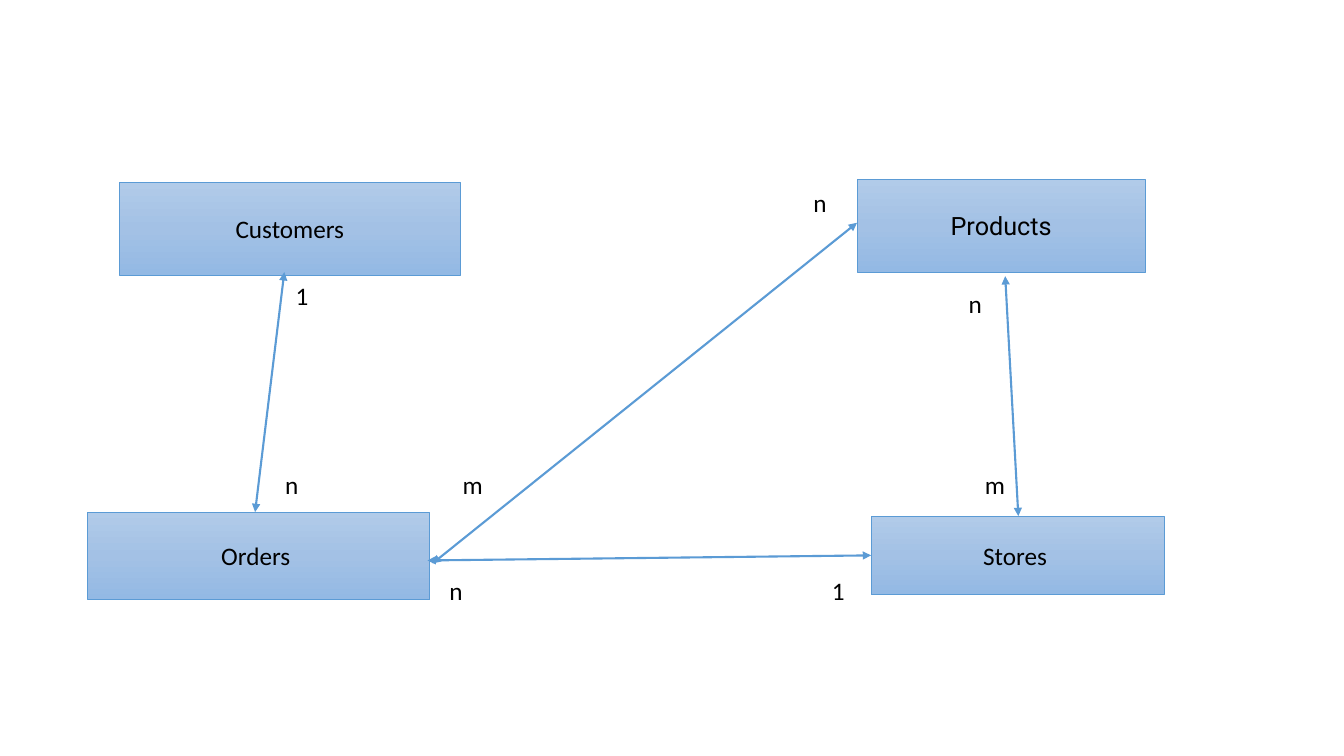
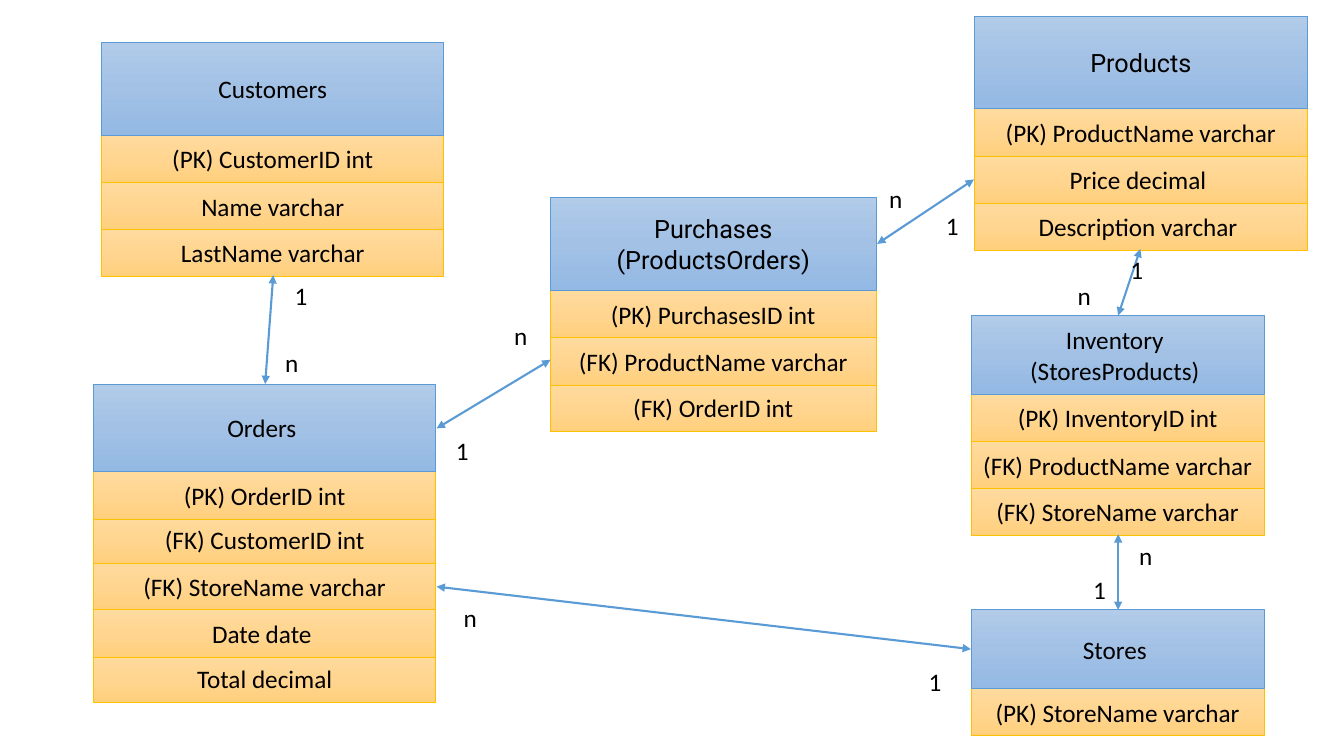
from copy import deepcopy
from dataclasses import dataclass

from pptx import Presentation, util as u
from pptx.dml import color as dml
from pptx.enum import shapes, text
from pptx.oxml import ns, xmlchemy as xml

BLUE = "5B9BD5"
GOLD = "FFC000"
BLACK = "000000"
FADES = {
    BLUE: ("B1CBE9", "A3C1E5", "93B9E4"),
    GOLD: ("FFDB9E", "FFD590", "FFD07C"),
}
SANS = "Calibri"
ALT = "Roboto"
ROW = 0.47
TOPS = (0, 0.47, 0.93)


@dataclass(frozen=True)
class Table:
    title: str
    left: float
    top: float
    width: float
    height: float
    rows: tuple[str, ...] = ()
    font: str = SANS
    tops: tuple[float, ...] = TOPS


@dataclass(frozen=True)
class Link:
    x1: float
    y1: float
    x2: float
    y2: float


@dataclass(frozen=True)
class Mark:
    sign: str
    left: float
    top: float
    width: float = 0.37


@dataclass(frozen=True)
class Scheme:
    tables: tuple[Table, ...]
    links: tuple[Link, ...]
    marks: tuple[Mark, ...]


def tint(code: str) -> dml.RGBColor:
    return dml.RGBColor.from_string(code)


def write(frame, words: str, font: str = SANS) -> None:
    frame.word_wrap = True
    for i, line in enumerate(words.split("\n")):
        para = frame.add_paragraph() if i else frame.paragraphs[0]
        para.alignment = text.PP_ALIGN.CENTER
        run = para.add_run()
        run.text = line
        run.font.name = font
        run.font.size = u.Pt(18)
        run.font.color.rgb = tint(BLACK)


def draw_box(slide, words: str, left: float, top: float, width: float,
             height: float, edge: str, font: str = SANS) -> None:
    box = slide.shapes.add_shape(
        shapes.MSO_SHAPE.RECTANGLE,
        *map(u.Inches, (left, top, width, height)))
    box.shadow.inherit = False
    box.line.color.rgb = tint(edge)
    box.line.width = u.Pt(0.5)
    box.fill.gradient()
    box.fill.gradient_angle = 270
    stops = next(box.element.iter(ns.qn("a:gsLst")))
    stops.insert(1, deepcopy(stops[0]))
    for i, (stop, code) in enumerate(zip(box.fill.gradient_stops, FADES[edge])):
        stop.position = i / 2
        stop.color.rgb = tint(code)
    box.text_frame.vertical_anchor = text.MSO_ANCHOR.MIDDLE
    write(box.text_frame, words, font)


def draw_table(slide, table: Table) -> None:
    base = table.top + table.height
    for row, top in reversed(list(zip(table.rows, table.tops))):
        draw_box(slide, row, table.left, base + top, table.width, ROW, GOLD)
    draw_box(slide, table.title, table.left, table.top, table.width,
             table.height, BLUE, table.font)


def draw_link(slide, link: Link) -> None:
    line = slide.shapes.add_connector(
        shapes.MSO_CONNECTOR.STRAIGHT,
        *map(u.Inches, (link.x1, link.y1, link.x2, link.y2)))
    line.line.color.rgb = tint(BLUE)
    line.line.width = u.Pt(1.5)
    props = line.element.spPr
    stroke = props.find(ns.qn("a:ln"))
    for tip in ("a:headEnd", "a:tailEnd"):
        end = xml.OxmlElement(tip)
        end.set("type", "triangle")
        stroke.append(end)
    props.append(xml.OxmlElement("a:effectLst"))


def draw_mark(slide, mark: Mark) -> None:
    box = slide.shapes.add_textbox(
        *map(u.Inches, (mark.left, mark.top, mark.width, 0.4)))
    write(box.text_frame, mark.sign)
    box.text_frame.auto_size = text.MSO_AUTO_SIZE.SHAPE_TO_FIT_TEXT


def draw_scheme(deck, scheme: Scheme) -> None:
    slide = deck.slides.add_slide(deck.slide_layouts[6])
    for table in scheme.tables:
        draw_table(slide, table)
    for link in scheme.links:
        draw_link(slide, link)
    for mark in scheme.marks:
        draw_mark(slide, mark)


BRIEF = Scheme(
    tables=(
        Table("Customers", 1.18, 1.81, 3.39, 0.92),
        Table("Products", 8.5, 1.78, 2.86, 0.92, font=ALT),
        Table("Orders ", 0.87, 5.08, 3.39, 0.87),
        Table("Stores ", 8.64, 5.12, 2.91, 0.78),
    ),
    links=(
        Link(2.53, 5.08, 2.82, 2.7),
        Link(4.24, 5.56, 8.64, 5.51),
        Link(10.1, 5.12, 9.97, 2.74),
        Link(4.29, 5.59, 8.5, 2.21),
    ),
    marks=(
        Mark("n", 2.73, 4.61, 0.3),
        Mark("1", 2.81, 2.73),
        Mark("1", 8.13, 5.66),
        Mark("n", 4.36, 5.66, 0.3),
        Mark("n", 9.51, 2.81, 0.3),
        Mark("m", 9.67, 4.61, 0.3),
        Mark("n", 7.97, 1.81, 0.3),
        Mark("m", 4.49, 4.61, 0.3),
    ),
)

FULL = Scheme(
    tables=(
        Table("Customers", 1.01, 0.42, 3.39, 0.92,
              ("(PK) CustomerID int", "Name varchar", "LastName varchar")),
        Table("Products", 9.66, 0.16, 3.31, 0.92,
              ("(PK) ProductName varchar", "Price decimal ",
               "Description varchar "), ALT),
        Table("Orders ", 0.93, 3.81, 3.39, 0.87,
              ("(PK) OrderID int", "(FK) CustomerID int",
               "(FK) StoreName varchar", "Date date ", "Total decimal"),
              tops=(0, 0.44, 0.9, 1.37, 1.82)),
        Table("Stores ", 9.63, 6.05, 2.91, 0.78,
              ("(PK) StoreName varchar",)),
        Table("Inventory \n(StoresProducts) ", 9.63, 3.13, 2.91, 0.78,
              ("(PK) InventoryID int", "(FK) ProductName varchar",
               "(FK) StoreName varchar")),
        Table("Purchases (ProductsOrders)", 5.46, 1.96, 3.23, 0.92,
              ("(PK) PurchasesID int", "(FK) ProductName varchar",
               "(FK) OrderID int"), ALT),
    ),
    links=(
        Link(2.63, 3.81, 2.71, 2.73),
        Link(4.33, 5.82, 9.63, 6.44),
        Link(11.31, 2.47, 11.09, 3.13),
        Link(11.09, 5.3, 11.09, 6.05),
        Link(4.33, 4.25, 5.46, 3.57),
        Link(8.7, 2.42, 9.66, 1.78),
    ),
    marks=(
        Mark("1", 2.8, 2.73),
        Mark("n", 2.71, 3.4),
        Mark("n", 4.48, 5.93),
        Mark("1", 9.09, 6.56),
        Mark("n", 10.57, 2.73),
        Mark("1", 10.72, 5.65),
        Mark("1", 11.09, 2.47),
        Mark("n", 11.18, 5.31),
        Mark("n", 4.98, 3.13),
        Mark("n", 8.7, 1.77),
        Mark("1", 4.4, 4.27),
        Mark("1", 9.26, 2.04),
    ),
)

deck = Presentation()
deck.slide_width = u.Inches(13.33)
deck.slide_height = u.Inches(7.5)
for scheme in (BRIEF, FULL):
    draw_scheme(deck, scheme)
deck.save("out.pptx")
